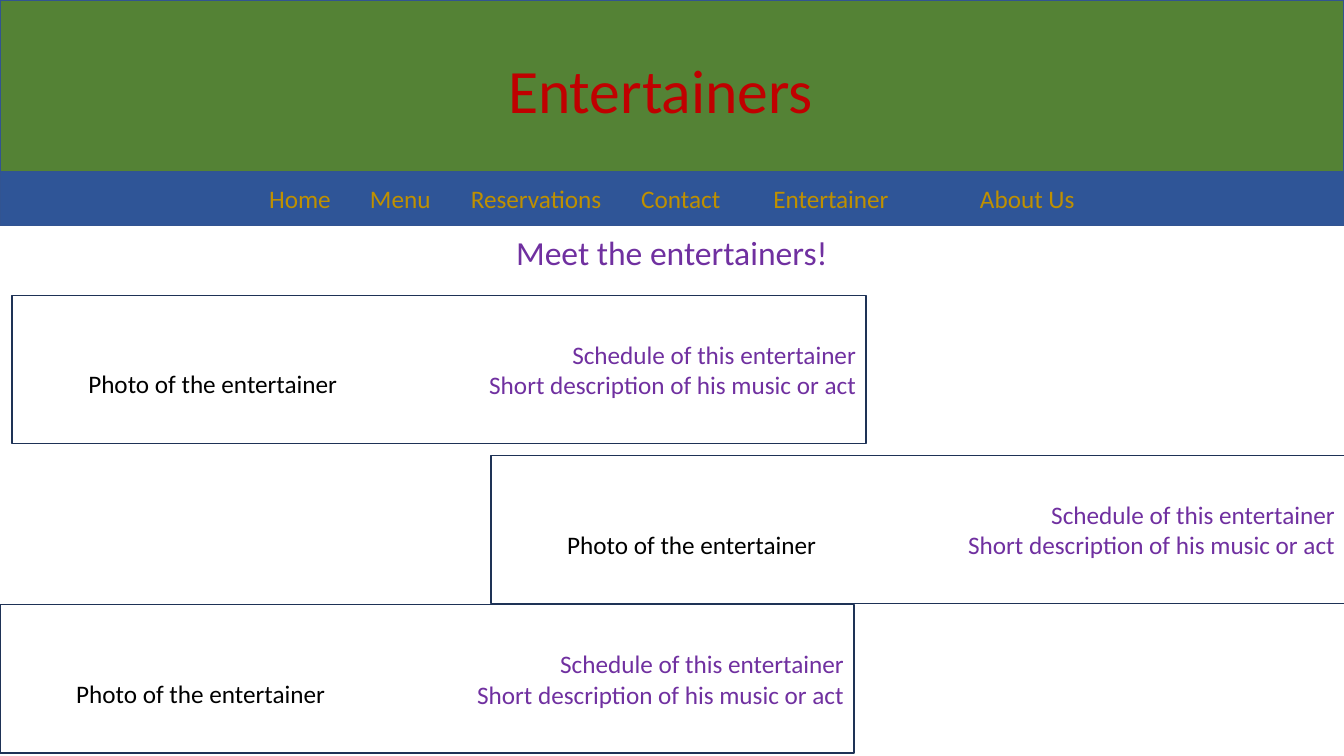
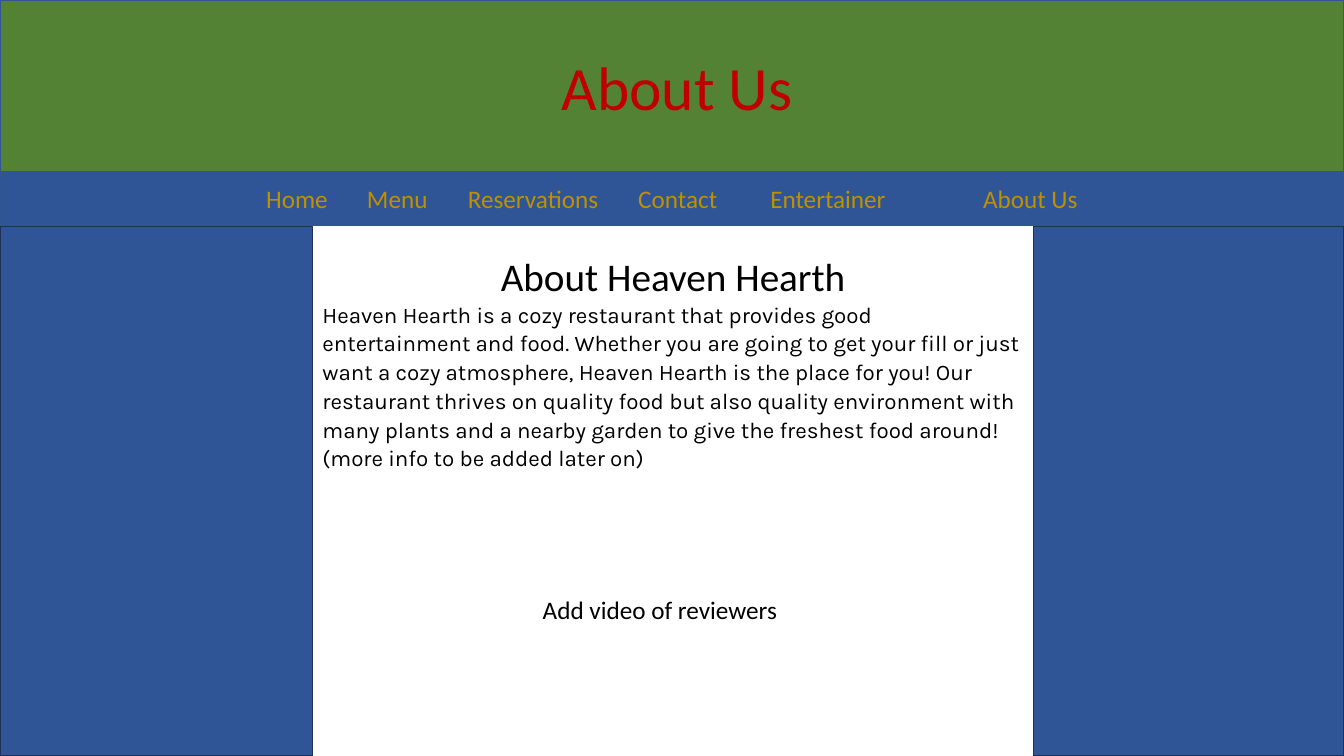
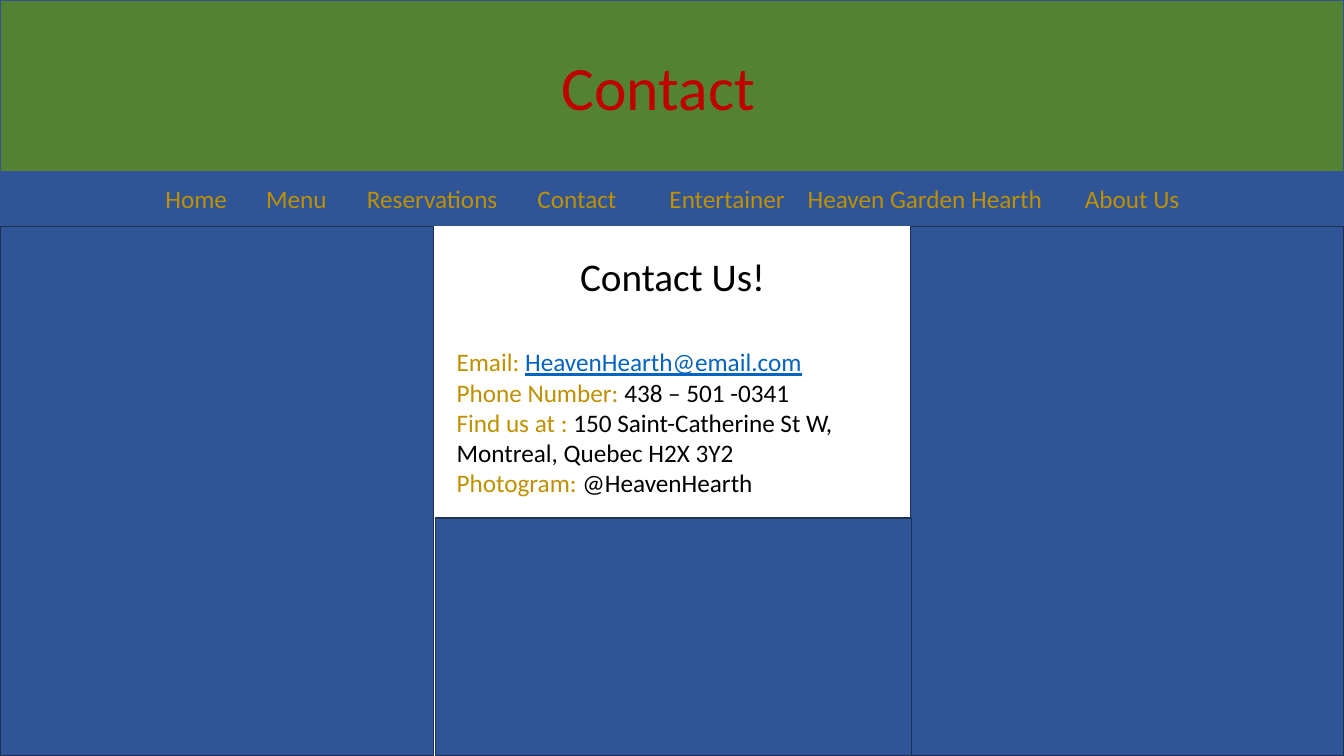
from dataclasses import dataclass
from typing import NamedTuple, Optional

from lxml import etree
from pptx import Presentation
from pptx import util as u
from pptx.dml.color import RGBColor
from pptx.enum import shapes, text
from pptx.oxml.ns import qn


@dataclass(frozen=True)
class Theme:
    green: str = "548235"
    blue: str = "2F5597"
    band_line: str = "325491"
    panel_line: str = "1E3256"
    red: str = "C00000"
    gold: str = "BF9000"
    purple: str = "7030A0"
    link: str = "0563C1"
    black: str = "000000"
    font: str = "Calibri"
    body_font: str = "Karla"
    title: int = 44
    heading: int = 28
    subtitle: int = 24
    normal: int = 18
    body: int = 16


class Box(NamedTuple):
    x: float
    y: float
    w: float
    h: float


class Run(NamedTuple):
    text: str
    color: str
    underline: bool = False


class NavItem(NamedTuple):
    label: str
    x: float  # offset from the first item


@dataclass(frozen=True)
class Page:
    title: str
    title_x: float
    title_y: float
    nav_x: float
    nav_end: tuple


T = Theme()
W, H = 13.33, 7.5
NAV_Y, NAV_H = 1.7, 0.54
BODY_Y = 2.25
NAV = (NavItem("Home", 0), NavItem("Menu", 1), NavItem("Reservations", 2),
       NavItem("Contact", 3.69), NavItem("Entertainer", 5))
LEFT, CENTER, RIGHT = (text.PP_ALIGN.LEFT, text.PP_ALIGN.CENTER,
                       text.PP_ALIGN.RIGHT)
TOP, MIDDLE = text.MSO_ANCHOR.TOP, text.MSO_ANCHOR.MIDDLE


def add_rect(s, box: Box, fill: Optional[str], line: str):
    sp = s.shapes.add_shape(shapes.MSO_SHAPE.RECTANGLE,
                            *(u.Inches(v) for v in box))
    sp.shadow.inherit = False
    if fill:
        sp.fill.solid()
        sp.fill.fore_color.rgb = RGBColor.from_string(fill)
    else:
        sp.fill.background()
    sp.line.color.rgb = RGBColor.from_string(line)
    sp.line.width = u.Pt(1)
    return sp


def add_box(s, box: Box, anchor=TOP):
    sp = s.shapes.add_textbox(*(u.Inches(v) for v in box))
    sp.text_frame.vertical_anchor = anchor
    return sp


def write(sp, content, *, size: int = T.normal, color: str = T.black,
          font: str = T.font, align=LEFT, before: float = 0,
          after: float = 0, spacing: Optional[float] = None):
    """Add one paragraph, from a string or a sequence of runs."""
    tf = sp.text_frame
    tf.word_wrap = True
    p = tf.paragraphs[0]
    if p.runs:
        p = tf.add_paragraph()
    p.alignment = align
    if before:
        p.space_before = u.Pt(before)
    if after:
        p.space_after = u.Pt(after)
    if spacing:
        p.line_spacing = spacing
    for part in [Run(content, color)] if isinstance(content, str) else content:
        r = p.add_run()
        r.text = part.text
        r.font.name, r.font.size = font, u.Pt(size)
        r.font.color.rgb = RGBColor.from_string(part.color)
        if part.underline:
            r.font.underline = True
    return p


def add_page(prs, page: Page):
    """Blank slide with the title band and the navigation bar."""
    s = prs.slides.add_slide(prs.slide_layouts[6])
    add_rect(s, Box(0, 0, W, NAV_Y), T.green, T.band_line)
    title = add_box(s, Box(page.title_x, page.title_y, 3.45, 0.84), MIDDLE)
    write(title, page.title, size=T.title, color=T.red)

    # Navigation: one line, each item on its own tab stop
    items = NAV + page.nav_end
    bar = add_rect(s, Box(0, NAV_Y, W, NAV_H), T.blue, T.band_line)
    bar.text_frame.margin_left = u.Inches(page.nav_x)
    bar.text_frame.vertical_anchor = MIDDLE
    p = write(bar, "\t".join(i.label for i in items), color=T.gold)
    tabs = etree.SubElement(p._p.get_or_add_pPr(), qn("a:tabLst"))
    for item in items[1:]:
        etree.SubElement(tabs, qn("a:tab"), pos=str(u.Inches(item.x)), algn="l")
    return s


def add_side_panels(s, left_w: float, right_w: float):
    for x, w in ((0, left_w), (W - right_w, right_w)):
        add_rect(s, Box(x, BODY_Y, w, H - BODY_Y), T.blue, T.panel_line)


def add_entertainer(s, x: float, y: float):
    card = add_rect(s, Box(x, y, 8.47, 1.47), None, T.panel_line)
    card.text_frame.vertical_anchor = MIDDLE
    for line in ("Schedule of this entertainer",
                 "Short description of his music or act"):
        write(card, line, color=T.purple, align=RIGHT)
    photo = add_box(s, Box(x, y + 0.68, 3.98, 0.4))
    write(photo, "Photo of the entertainer", align=CENTER)


def entertainers(prs):
    s = add_page(prs, Page("Entertainers", 4.94, 0.46, 2.67,
                           (NavItem("About Us", 7.05),)))
    write(add_box(s, Box(0, BODY_Y, W, 0.5)), "Meet the entertainers!",
          size=T.subtitle, color=T.purple, align=CENTER)
    for x, y in ((0.12, 2.93), (4.87, 4.52), (0, 6)):
        add_entertainer(s, x, y)


def about(prs):
    s = add_page(prs, Page("About Us", 5.47, 0.43, 2.64,
                           (NavItem("About Us", 7.11),)))
    add_side_panels(s, 3.1, 3.08)
    story = add_box(s, Box(3.1, 2.45, 7.15, 2.29))
    write(story, "About Heaven Hearth", size=T.heading, align=CENTER)
    write(story,
          "Heaven Hearth is a cozy restaurant that provides good entertainment "
          "and food. Whether you are going to get your fill or just want a cozy "
          "atmosphere, Heaven Hearth is the place for you! Our restaurant "
          "thrives on quality food but also quality environment with many "
          "plants and a nearby garden to give the freshest food around! (more "
          "info to be added later on)",
          size=T.body, font=T.body_font, spacing=1.07, after=8)
    write(add_box(s, Box(3.52, 4.9, 6.05, 2.3), MIDDLE),
          "Add video of reviewers", align=CENTER)


def contact(prs):
    s = add_page(prs, Page("Contact", 5.47, 0.43, 1.64,
                           (NavItem("Heaven Garden Hearth", 6.37),
                            NavItem("About Us", 9.12))))
    add_side_panels(s, 4.3, 4.3)
    details = add_box(s, Box(4.43, 2.45, 4.48, 2.89))
    write(details, "Contact Us!", size=T.heading, align=CENTER)
    rows = (
        ("Email: ", Run("HeavenHearth@email.com", T.link, True)),
        ("Phone Number: ", Run("438 – 501 -0341", T.black)),
        ("Find us at : ",
         Run("150 Saint-Catherine St W, Montreal, Quebec H2X 3Y2", T.black)),
        ("Photogram: ", Run("@HeavenHearth", T.black)),
    )
    for i, (label, value) in enumerate(rows):
        write(details, (Run(label, T.gold), value), before=0 if i else 34)
    # Panel closing the column below the details
    add_rect(s, Box(4.32, 5.14, 4.72, H - 5.14), T.blue, T.panel_line)


def main():
    prs = Presentation()
    prs.slide_width, prs.slide_height = u.Inches(W), u.Inches(H)
    entertainers(prs)
    about(prs)
    contact(prs)
    prs.save("out.pptx")


if __name__ == "__main__":
    main()
